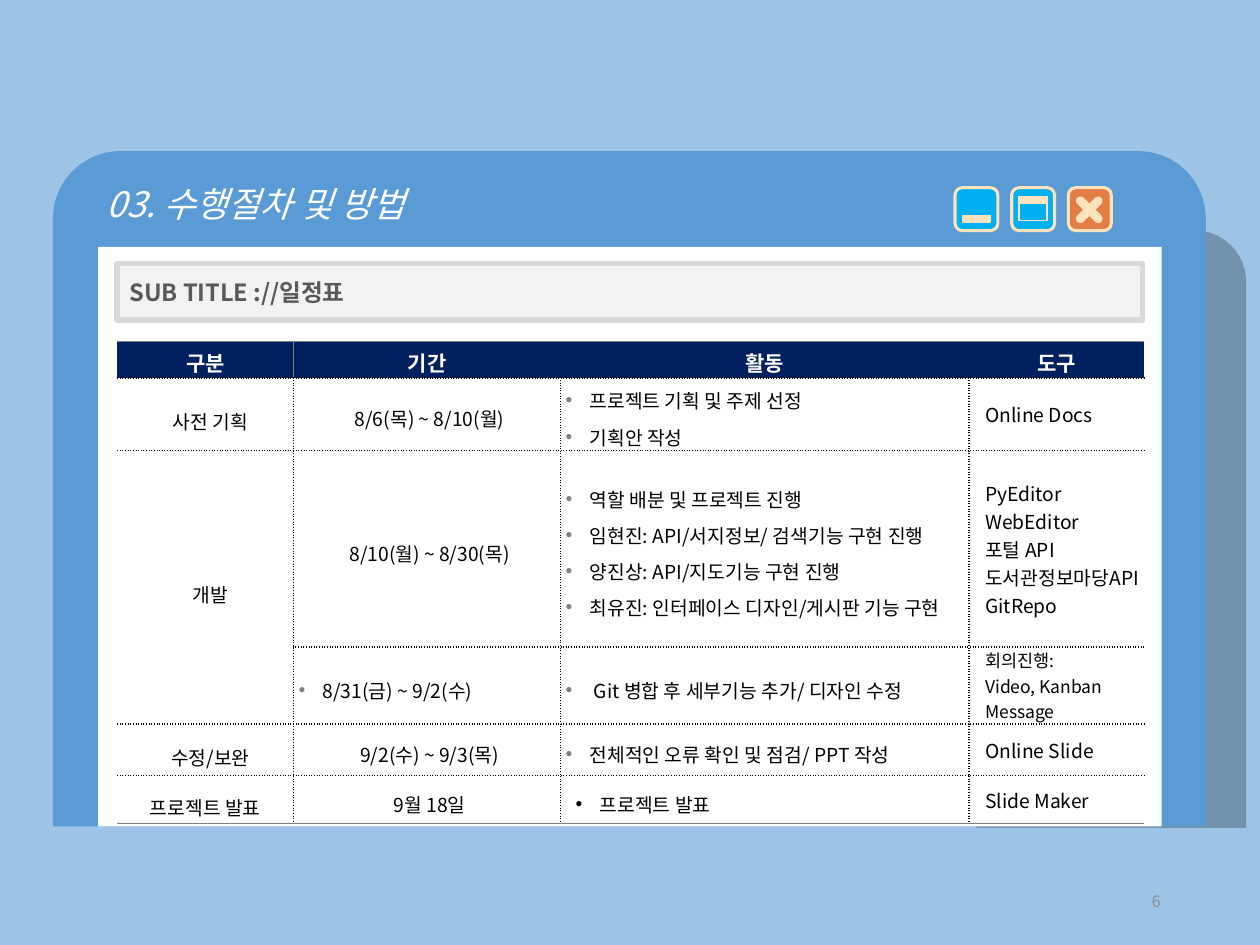
from lxml.etree import SubElement
from pptx import Presentation
from pptx.dml.color import RGBColor
from pptx.enum.shapes import MSO_SHAPE
from pptx.enum.text import MSO_ANCHOR, PP_ALIGN
from pptx.oxml.ns import qn
from pptx.util import Inches, Pt

C = {
    "sky": "9DC3E6", "window": "5B9BD5", "white": "FFFFFF", "black": "000000",
    "cream": "FFE1BB", "cyan": "00B0F0", "orange": "E27D45", "navy": "002060",
    "pale": "F2F2F2", "frame": "D9D9D9", "dark": "595959", "grey": "7F7F7F",
    "number": "8C8C8C",
}
FONT = "Noto Sans CJK KR"

prs = Presentation()
prs.slide_width, prs.slide_height = Inches(10), Inches(7.5)
U = prs.slide_width / 100  # the slide is a grid of 100 columns by 75 rows
s = prs.slides.add_slide(prs.slide_layouts[6])
s.background.fill.solid()
s.background.fill.fore_color.rgb = RGBColor.from_string(C["sky"])


def box(kind, x, y, w, h, fill, line=None, width=1, adj=(), rot=0):
    """Add a preset shape placed in grid units."""
    sp = s.shapes.add_shape(kind, *(round(v * U) for v in (x, y, w, h)))
    sp.shadow.inherit = False
    sp.rotation = rot
    for i, value in enumerate(adj):
        sp.adjustments[i] = value
    sp.fill.solid()
    sp.fill.fore_color.rgb = RGBColor.from_string(C[fill])
    if line:
        sp.line.color.rgb = RGBColor.from_string(C[line])
        sp.line.width = Pt(width)
    else:
        sp.line.fill.background()
    return sp


def write(p, text, size, color, align=PP_ALIGN.LEFT, bold=False, italic=False):
    """Add one formatted run to a paragraph."""
    p.alignment = align
    r = p.add_run()
    r.text = text
    r.font.size, r.font.bold, r.font.italic = Pt(size), bold, italic
    r.font.color.rgb = RGBColor.from_string(C[color])
    r.font.name = FONT
    SubElement(r.font._element, qn("a:ea"), typeface=FONT)


# Window with its shadow
TAB, ROUND, RECT = (MSO_SHAPE.ROUND_2_SAME_RECTANGLE, MSO_SHAPE.ROUNDED_RECTANGLE,
                    MSO_SHAPE.RECTANGLE)
shade = box(TAB, 77.5, 18.3, 21.4, 47.4, "black", adj=(0.19, 0))
SubElement(shade._element.spPr.find(qn("a:solidFill"))[0], qn("a:alpha"), val="25000")
window = box(TAB, 4.2, 12, 91.5, 53.6, "window", adj=(0.1, 0))
tf = window.text_frame
tf.vertical_anchor = MSO_ANCHOR.TOP
tf.margin_left, tf.margin_top = Inches(0.27), Inches(0.09)
write(tf.paragraphs[0], "03. 수행절차 및 방법", 20, "white", italic=True)
box(RECT, 7.8, 19.6, 84.4, 46, "white")

# Window buttons: minimise, maximise, close
for i, fill in enumerate(("cyan", "cyan", "orange")):
    box(ROUND, 75.8 + 4.5 * i, 14.9, 3.4, 3.4, fill, "cream", 1.75)
box(RECT, 76.4, 17.1, 2.2, 0.5, "cream", "cream")
box(RECT, 80.9, 16.1, 2.2, 1.4, "cyan", "cream")
box(RECT, 80.9, 15.6, 2.2, 0.5, "cream", "cream")
for rot in (45, 315):
    box(ROUND, 86.1, 15.3, 0.7, 2.7, "cream", adj=(0.5,), rot=rot)

# Subtitle bar
bar = box(RECT, 9.3, 20.9, 81.4, 4.5, "pale", "frame", 3)
bar.text_frame.vertical_anchor = MSO_ANCHOR.MIDDLE
write(bar.text_frame.paragraphs[0], "SUB TITLE ://일정표", 13.5, "dark", bold=True)

# Schedule; a leading bullet in a cell's lines marks list items
COLS = [14, 21.2, 32.4, 13.9]
ROWS = [2.2, 5.1, 15.6, 6.1, 4.1, 3.8]
SCHEDULE = [
    ["구분", "기간", "활동", "도구"],
    ["사전 기획", "8/6(목) ~ 8/10(월)", "•프로젝트 기획 및 주제 선정\n•기획안 작성", "Online Docs"],
    ["개발", "8/10(월) ~ 8/30(목)",
     "•역할 배분 및 프로젝트 진행\n•임현진: API/서지정보/ 검색기능 구현 진행\n"
     "•양진상: API/지도기능 구현 진행\n•최유진: 인터페이스 디자인/게시판 기능 구현",
     "PyEditor\nWebEditor\n포털 API\n도서관정보마당API\nGitRepo"],
    ["", "•8/31(금) ~ 9/2(수)", "• Git 병합 후 세부기능 추가/ 디자인 수정",
     "회의진행:\nVideo, Kanban\nMessage"],
    ["수정/보완", "9/2(수) ~ 9/3(목)", "•전체적인 오류 확인 및 점검/ PPT 작성", "Online Slide"],
    ["프로젝트 발표", "9월 18일", "•프로젝트 발표", "Slide Maker"],
]
LAST = len(ROWS) - 1
DOTTED, SOLID = ("black", 1, "sysDot"), ("grey", 0.75, "solid")

frame = s.shapes.add_table(len(ROWS), len(COLS), *(
    round(v * U) for v in (9.3, 27.1, sum(COLS), sum(ROWS))))
table = frame.table
table.first_row = table.horz_banding = False
for column, width in zip(table.columns, COLS):
    column.width = round(width * U)
for row, height in zip(table.rows, ROWS):
    row.height = round(height * U)
table.cell(2, 0).merge(table.cell(3, 0))

for i, texts in enumerate(SCHEDULE):
    for j, text in enumerate(texts):
        cell = table.cell(i, j)
        header = i == 0
        cell.vertical_anchor = MSO_ANCHOR.MIDDLE
        cell.margin_right = cell.margin_top = cell.margin_bottom = 0
        cell.margin_left = Inches(0 if header or (i, j) == (LAST, 0) else 0.04 if j else 0.08)

        left = (SOLID if j == 1 else None) if header else (DOTTED if j else None)
        right = (SOLID if j == 0 else None) if header else (DOTTED if j < 3 else None)
        edges = {"a:lnL": left, "a:lnR": right, "a:lnT": SOLID if header else DOTTED,
                 "a:lnB": SOLID if i == LAST else DOTTED}
        for tag, edge in edges.items():
            ln = SubElement(cell._tc.get_or_add_tcPr(), qn(tag))
            if edge is None:
                SubElement(ln, qn("a:noFill"))
                continue
            color, width, dash = edge
            ln.set("w", str(Pt(width)))
            SubElement(SubElement(ln, qn("a:solidFill")), qn("a:srgbClr"), val=C[color])
            SubElement(ln, qn("a:prstDash"), val=dash)
        if header:
            cell.fill.solid()
            cell.fill.fore_color.rgb = RGBColor.from_string(C["navy"])
        else:
            cell.fill.background()

        if not text:
            continue
        for k, line in enumerate(text.split("\n")):
            tf = cell.text_frame
            p = tf.add_paragraph() if k else tf.paragraphs[0]
            pPr = p._p.get_or_add_pPr()
            bullet = line.startswith("•")
            tool = j == 3 and not header
            if bullet:
                closing = i == LAST
                pPr.set("marL", str(Inches(0.27 if closing else 0.19)))
                pPr.set("indent", str(Inches(-0.19)))
                SubElement(SubElement(pPr, qn("a:buClr")), qn("a:srgbClr"),
                           val=C["black" if closing else "grey"])
                SubElement(pPr, qn("a:buFont"), typeface="Arial")
                SubElement(pPr, qn("a:buChar"), char="•")
            elif tool:
                pPr.set("marL", str(Inches(0.19)))
                pPr.set("indent", str(Inches(-0.1)))
            if not tool:
                p.line_spacing = 1.2 if header else 1.3 if j else 1.5
            write(p, line.removeprefix("•"),
                  12 if header else 10 if (i, j) == (3, 3) else 11,
                  "white" if header else "black",
                  PP_ALIGN.LEFT if bullet or tool else PP_ALIGN.CENTER, bold=header)

# Page number
number = s.shapes.add_textbox(*(round(v * U) for v in (70.6, 69.5, 22.5, 4)))
tf = number.text_frame
tf.word_wrap = True
tf.vertical_anchor = MSO_ANCHOR.MIDDLE
write(tf.paragraphs[0], "6", 9, "number", PP_ALIGN.RIGHT)

prs.save("out.pptx")
